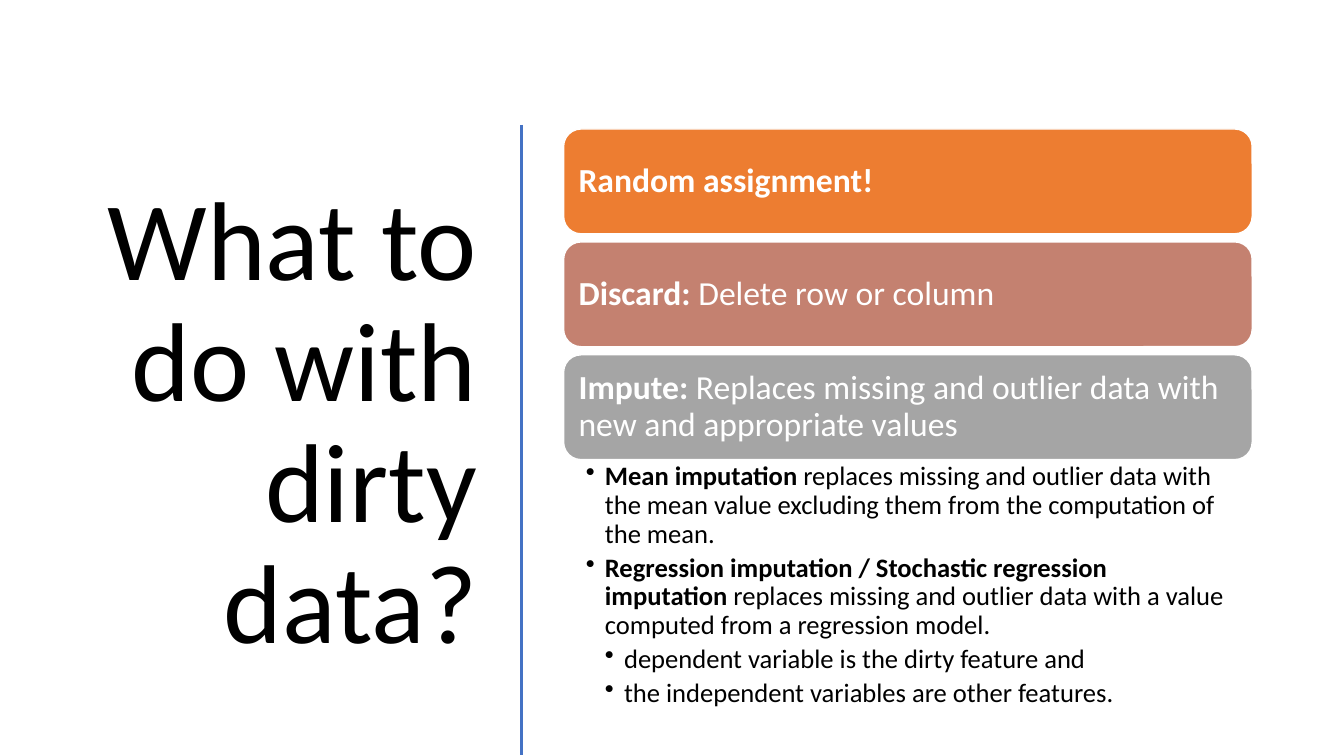
"""Builds the slide about ways of handling dirty data."""
import pptx
import pptx.dml.color
import pptx.enum.shapes
import pptx.enum.text
import pptx.oxml
import pptx.oxml.ns
import pptx.util

Inches = pptx.util.Inches
Pt = pptx.util.Pt
RGBColor = pptx.dml.color.RGBColor
PP_ALIGN = pptx.enum.text.PP_ALIGN
MSO_ANCHOR = pptx.enum.text.MSO_ANCHOR

BLACK = RGBColor(0x00, 0x00, 0x00)
WHITE = RGBColor(0xFF, 0xFF, 0xFF)
BLUE = RGBColor(0x44, 0x72, 0xC4)
ORANGE = RGBColor(0xED, 0x7D, 0x31)
ROSE = RGBColor(0xC4, 0x81, 0x70)
GRAY = RGBColor(0xA5, 0xA5, 0xA5)

CARD_LEFT, CARD_TOP, CARD_WIDTH, CARD_HEIGHT, CARD_STEP = 5.59, 1.28, 6.83, 1.04, 1.12
BULLET_INDENT = 0.19

CARDS = [
    (ORANGE, "Random assignment!", ""),
    (ROSE, "Discard:", " Delete row or column"),
    (GRAY, "Impute:", " Replaces missing and outlier data with new and appropriate values"),
]
BULLETS = [
    (1, "Mean imputation", " replaces missing and outlier data with the mean value "
        "excluding them from the computation of the mean."),
    (1, "Regression imputation / Stochastic regression imputation",
        " replaces missing and outlier data with a value computed from a regression model."),
    (2, "", "dependent variable is the dirty feature and"),
    (2, "", "the independent variables are other features."),
]


def set_attributes(target, values):
    """Set each named attribute of the target."""
    for name, value in values.items():
        setattr(target, name, value)


def format_frame(frame, anchor, left, top, right, bottom):
    """Wrap a text frame and set its anchor and margins in inches."""
    set_attributes(frame, {
        "word_wrap": True,
        "vertical_anchor": anchor,
        "margin_left": Inches(left),
        "margin_top": Inches(top),
        "margin_right": Inches(right),
        "margin_bottom": Inches(bottom),
    })


def write_para(para, bold_text, plain_text, size, color, **layout):
    """Write a bold lead and plain text into a paragraph."""
    set_attributes(para, {"line_spacing": 0.9, "alignment": PP_ALIGN.LEFT, **layout})
    for text, bold in ((bold_text, True), (plain_text, False)):
        if text:
            span = para.add_run()
            span.text = text
            set_attributes(span.font, {"name": "Calibri", "size": Pt(size), "bold": bold})
            span.font.color.rgb = color


def add_bullet(para, level):
    """Give a paragraph a hanging bullet at the level."""
    properties = para._p.get_or_add_pPr()
    properties.set("marL", str(Inches(BULLET_INDENT * level)))
    properties.set("indent", str(-Inches(BULLET_INDENT)))
    properties.append(pptx.oxml.parse_xml(
        f'<a:buChar {pptx.oxml.ns.nsdecls("a")} char="•"/>'))


def add_title(page, text):
    """Add the large right-aligned title."""
    box = page.shapes.add_textbox(Inches(0.52), Inches(1.17), Inches(4.31), Inches(6.11))
    format_frame(box.text_frame, MSO_ANCHOR.MIDDLE, 0.1, 0.05, 0.1, 0.05)
    write_para(box.text_frame.paragraphs[0], "", text, 80, BLACK, alignment=PP_ALIGN.RIGHT)


def add_divider(page):
    """Add the vertical line beside the title."""
    divider = page.shapes.add_connector(
        pptx.enum.shapes.MSO_CONNECTOR.STRAIGHT,
        Inches(5.17), Inches(1.24), Inches(5.17), Inches(7.49))
    divider.line.color.rgb = BLUE
    divider.line.width = Pt(2)
    divider._element.spPr.append(
        pptx.oxml.parse_xml(f'<a:effectLst {pptx.oxml.ns.nsdecls("a")}/>'))


def add_card(page, top, fill, bold_text, plain_text):
    """Add one rounded card with its text."""
    card = page.shapes.add_shape(
        pptx.enum.shapes.MSO_SHAPE.ROUNDED_RECTANGLE,
        Inches(CARD_LEFT), Inches(top), Inches(CARD_WIDTH), Inches(CARD_HEIGHT))
    card.shadow.inherit = False
    card.fill.solid()
    card.fill.fore_color.rgb = fill
    card.line.color.rgb = WHITE
    card.line.width = Pt(1)
    format_frame(card.text_frame, MSO_ANCHOR.MIDDLE, 0.1, 0.1, 0.1, 0.1)
    write_para(card.text_frame.paragraphs[0], bold_text, plain_text, 24, WHITE)


def add_bullets(page, bullets):
    """Add the bulleted details under the last card."""
    box = page.shapes.add_textbox(
        Inches(CARD_LEFT), Inches(4.56), Inches(CARD_WIDTH), Inches(2.61))
    frame = box.text_frame
    format_frame(frame, MSO_ANCHOR.TOP, 0.22, 0.03, 0.19, 0.03)
    for index, (level, bold_text, plain_text) in enumerate(bullets):
        para = frame.add_paragraph() if index else frame.paragraphs[0]
        add_bullet(para, level)
        write_para(para, bold_text, plain_text, 19, BLACK, level=level, space_after=Pt(3.8))


def main():
    """Build and save the deck."""
    deck = pptx.Presentation()
    set_attributes(deck, {"slide_width": Inches(13.33), "slide_height": Inches(7.5)})
    page = deck.slides.add_slide(deck.slide_layouts[6])
    add_title(page, "What to do with dirty data?")
    add_divider(page)
    for index, card in enumerate(CARDS):
        add_card(page, CARD_TOP + index * CARD_STEP, *card)
    add_bullets(page, BULLETS)
    deck.save("out.pptx")


if __name__ == "__main__":
    main()
